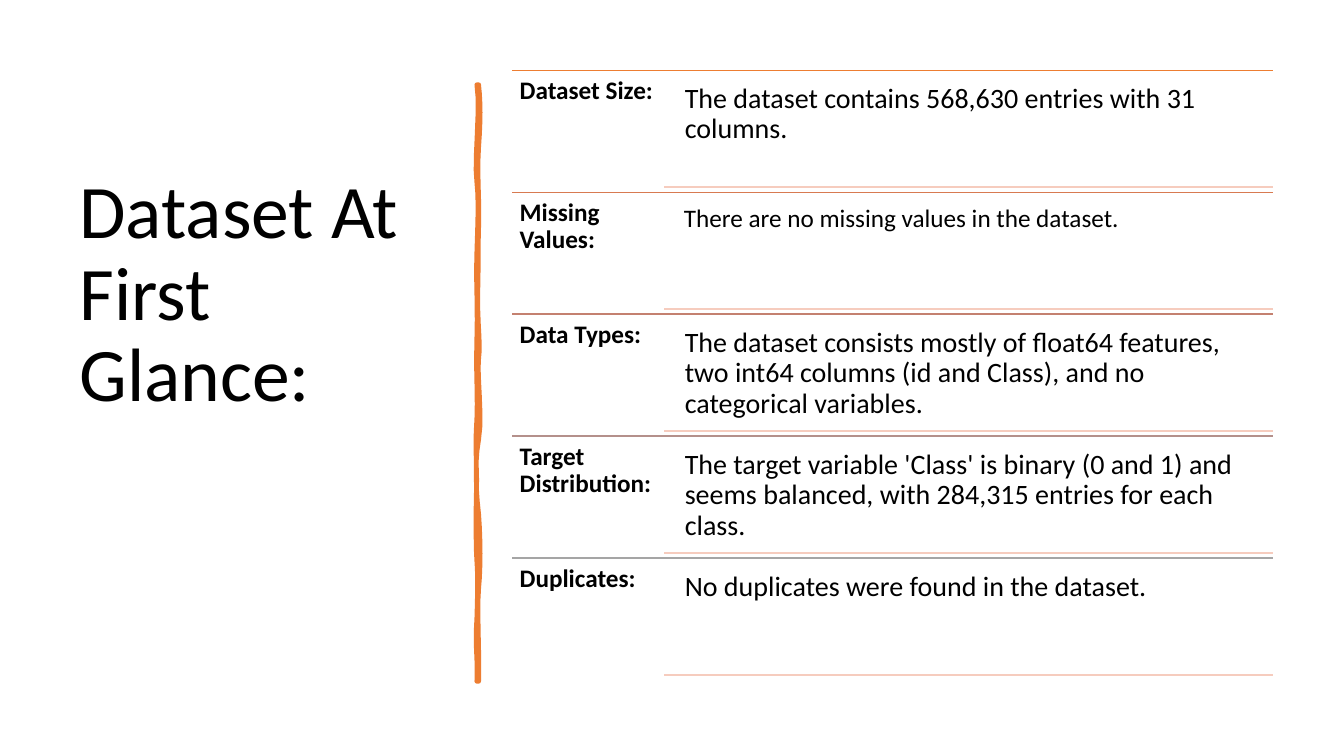
from pptx import Presentation
from pptx.dml.color import RGBColor
from pptx.enum.text import MSO_ANCHOR
from pptx.oxml.ns import qn
from pptx.util import Pt
from lxml import etree

TOP, MID = MSO_ANCHOR.TOP, MSO_ANCHOR.MIDDLE
BLACK = RGBColor(0x00, 0x00, 0x00)
ORANGE = RGBColor(0xED, 0x7D, 0x31)
PINK = RGBColor(0xF6, 0xCC, 0xBE)
RUST = RGBColor(0xD8, 0x7A, 0x51)
ROSE = RGBColor(0xC4, 0x81, 0x70)
TAUPE = RGBColor(0xB4, 0x90, 0x8B)
GREY = RGBColor(0xA5, 0xA5, 0xA5)

# Label, text, text size, rule colour
ROWS = [
    ("Dataset Size:", "The dataset contains 568,630 entries with 31 columns.", 20, ORANGE),
    ("Missing Values:", "There are no missing values in the dataset.", 18, RUST),
    ("Data Types:", "The dataset consists mostly of float64 features, two int64 columns "
     "(id and Class), and no categorical variables.", 20, ROSE),
    ("Target Distribution:", "The target variable 'Class' is binary (0 and 1) and seems "
     "balanced, with 284,315 entries for each class.", 20, TAUPE),
    ("Duplicates:", "No duplicates were found in the dataset.", 20, GREY),
]
LEFT, INNER, BODY, RIGHT = 365.8, 474.5, 483.1, 909.4
FIRST, PITCH, PAD = 50.2, 87.12, 4.2

# Brush stroke: start, then two control points and an end point per curve
START = (342, 60.5)
CURVES = [
    ((343.4, 73.4), (343.4, 85.7), (342, 105.1)),
    ((340.6, 124.6), (342.7, 140.4), (342, 162.7)),
    ((341.3, 185), (342, 188.6), (341.3, 211.7)),
    ((341.3, 234), (343.4, 246.2), (342, 256.3)),
    ((340.6, 266.4), (344.9, 298.1), (342, 313.9)),
    ((339.1, 329), (339.8, 348.5), (342, 367.2)),
    ((343.4, 385.9), (343.4, 406.1), (342, 420.5)),
    ((340.6, 434.2), (342.7, 468), (342, 486.7)),
    ((341.3, 486.7), (340.6, 486.7), (340.6, 486.7)),
    ((341.3, 465.1), (339.1, 463.7), (340.6, 441.4)),
    ((341.3, 419.8), (341.3, 410.4), (340.6, 401)),
    ((339.8, 391.7), (339.8, 356.4), (340.6, 343.4)),
    ((340.6, 330.5), (339.1, 320.4), (340.6, 298.8)),
    ((341.3, 277.9), (339.8, 268.6), (340.6, 241.2)),
    ((341.3, 214.6), (339.8, 202.3), (340.6, 180)),
    ((341.3, 157), (342, 144), (340.6, 130.3)),
    ((338.4, 117.4), (343.4, 74.9), (340.6, 60.5)),
]


def trace(start, curves, steps=6):
    """Return points along a chain of cubic curves."""
    dots = []
    for one, two, end in curves:
        for step in range(1, steps + 1):
            t = step / steps
            u = 1 - t
            dots.append(tuple(
                u**3 * a + 3 * u * u * t * b + 3 * u * t * t * c + t**3 * d
                for a, b, c, d in zip(start, one, two, end)))
        start = end
    return dots


class Page:
    font = "Calibri"
    space = 0.9

    def __init__(self, deck):
        self.slide = deck.slides.add_slide(deck.slide_layouts[6])
        self.shapes = self.slide.shapes

    def text(self, words, box, size, pads, bold=False, anchor=TOP):
        """Place words in box; pads are left, top, right, bottom."""
        frame = self.shapes.add_textbox(*map(Pt, box)).text_frame
        frame.word_wrap = True
        frame.vertical_anchor = anchor
        (frame.margin_left, frame.margin_top,
         frame.margin_right, frame.margin_bottom) = map(Pt, pads)
        para = frame.paragraphs[0]
        para.line_spacing = self.space
        run = para.add_run()
        run.text = words
        run.font.name = self.font
        run.font.size = Pt(size)
        run.font.bold = bold
        run.font.color.rgb = BLACK

    def rule(self, left, right, y, color):
        line = self.shapes.add_connector(1, Pt(left), Pt(y), Pt(right), Pt(y))
        line.line.color.rgb = color
        line.line.width = Pt(1)
        etree.SubElement(line._element.spPr, qn("a:effectLst"))

    def brush(self, start, curves, color, width):
        path = self.shapes.build_freeform(*map(Pt, start))
        path.add_line_segments(
            [(Pt(x), Pt(y)) for x, y in trace(start, curves)], close=True)
        shape = path.convert_to_shape()
        shape.shadow.inherit = False
        shape.fill.solid()
        shape.fill.fore_color.rgb = color
        shape.line.color.rgb = color
        shape.line.width = Pt(width)


def main():
    deck = Presentation()
    deck.slide_width, deck.slide_height = Pt(960), Pt(540)
    page = Page(deck)
    page.text("Dataset At First Glance:", (49.7, 50.4, 269.3, 440), 54,
              (7.2, 3.6, 7.2, 122), anchor=MID)
    page.brush(START, CURVES, ORANGE, 3.25)
    for i, (label, words, size, color) in enumerate(ROWS):
        top = FIRST + i * PITCH
        page.rule(LEFT, RIGHT, top, color)
        page.text(label, (LEFT, top, INNER - LEFT, PITCH), 18, [5.4] * 4, bold=True)
        page.text(words, (BODY, top + PAD, RIGHT - BODY, 79.2), size, [size * 0.3] * 4)
        page.rule(INNER, RIGHT, top + PAD + 79.2, PINK)
    deck.save("out.pptx")


if __name__ == "__main__":
    main()
